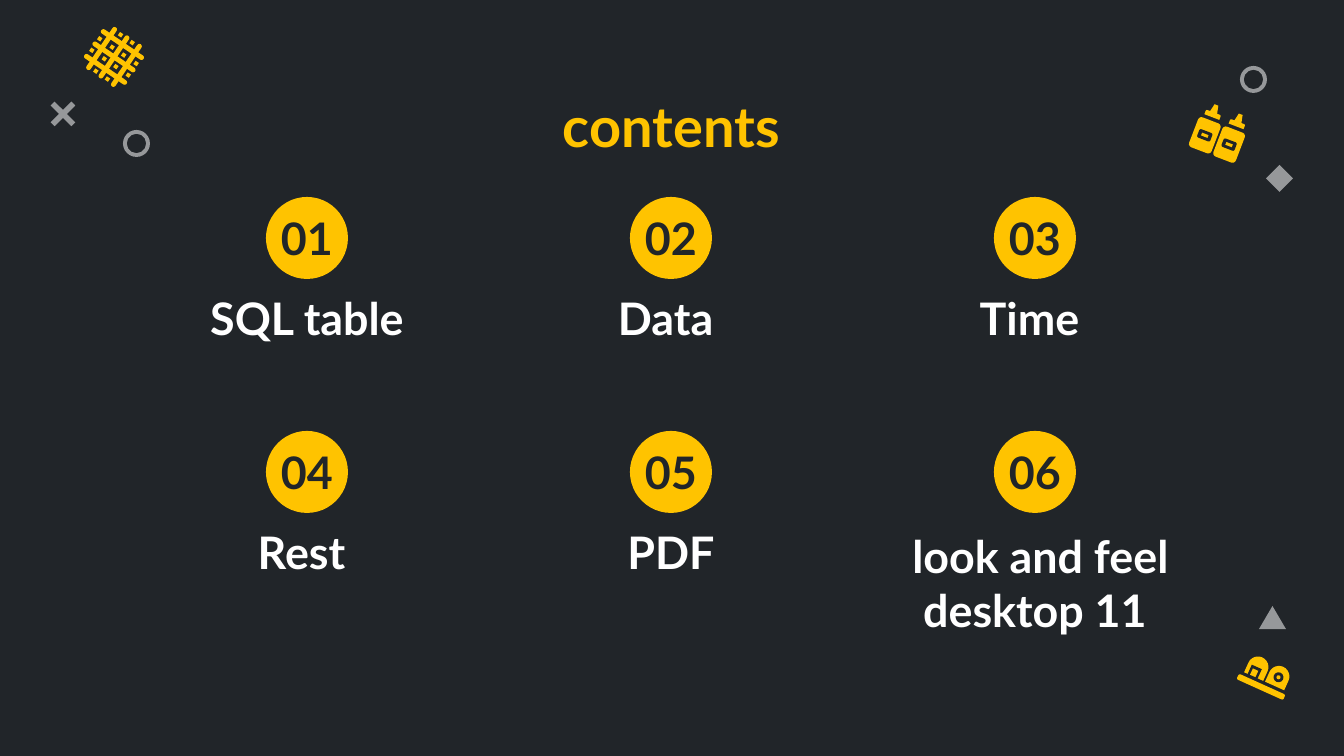
import math
from dataclasses import dataclass

import pptx
import pptx.dml.color
import pptx.enum.shapes
import pptx.enum.text
import pptx.oxml
import pptx.oxml.ns
import pptx.util

Kind = pptx.enum.shapes.MSO_SHAPE
Anchor = pptx.enum.text.MSO_ANCHOR
EMU_PER_PX = 9144000 / 1344


@dataclass(frozen=True)
class Theme:
    background: str = "212529"
    accent: str = "FFC300"
    white: str = "FFFFFF"
    ornament_alpha: int = 53
    font: str = "Lato"
    title_size: int = 30
    body_size: int = 24
    inset: int = 13


@dataclass(frozen=True)
class Topic:
    number: str
    label: str
    lines: int = 1


@dataclass(frozen=True)
class Ornament:
    kind: Kind
    left: int
    top: int
    width: int
    height: int
    adjustment: float | None = None


@dataclass(frozen=True)
class Piece:
    """One piece of an icon; x and y are its centre, seen from the icon's pivot."""
    kind: Kind
    x: int
    y: int
    width: int
    height: int
    color: str
    adjustment: float | None = None


@dataclass(frozen=True)
class Icon:
    x: int
    y: int
    angle: float
    pieces: list[Piece]


THEME = Theme()
YELLOW, DARK = THEME.accent, THEME.background

TOPICS = [
    Topic("01", "SQL table"), Topic("02", "Data "), Topic("03", "Time "),
    Topic("04", "Rest "), Topic("05", "PDF"),
    Topic("06", " look and feel desktop 11", lines=2),
]
COLUMNS = 3
FIRST_CENTER, COLUMN_PITCH = 307, 364
FIRST_TOP, ROW_PITCH = 197, 234
DISC, NUMBER_WIDTH, NUMBER_HEIGHT = 82, 109, 64
LABEL_OFFSET, LABEL_WIDTH, LABEL_HEIGHT, EXTRA_LINE = 96, 314, 65, 57

ORNAMENTS = [
    Ornament(Kind.DONUT, 1240, 66, 27, 27, 0.14),
    Ornament(Kind.DONUT, 123, 130, 27, 27, 0.14),
    Ornament(Kind.MATH_MULTIPLY, 43, 94, 40, 40, 0.14),
    Ornament(Kind.ISOSCELES_TRIANGLE, 1259, 606, 27, 23),
    Ornament(Kind.DIAMOND, 1266, 165, 27, 27),
]


def px(length: float) -> pptx.util.Emu:
    return pptx.util.Emu(round(length * EMU_PER_PX))


def rgb(color: str) -> pptx.dml.color.RGBColor:
    return pptx.dml.color.RGBColor.from_string(color)


def lattice_pieces() -> list[Piece]:
    """Three bars each way, with crumbs in the gaps except at the corners."""
    bars = []
    for offset in (-15, 0, 15):
        bars.append(Piece(Kind.ROUNDED_RECTANGLE, offset, 0, 5, 51, YELLOW, 0.5))
        bars.append(Piece(Kind.ROUNDED_RECTANGLE, 0, offset, 51, 5, YELLOW, 0.5))
    gaps = (-22, -7, 7, 22)
    crumbs = [Piece(Kind.RECTANGLE, x, y, 4, 4, YELLOW)
              for x in gaps for y in gaps if abs(x) + abs(y) < 44]
    return bars + crumbs


def bottle_pieces(x: int) -> list[Piece]:
    return [
        Piece(Kind.ROUNDED_RECTANGLE, x, 0, 24, 32, YELLOW, 0.15),
        Piece(Kind.ROUNDED_RECTANGLE, x, 0, 14, 9, DARK, 0.2),
        Piece(Kind.RECTANGLE, x, 0, 7, 3, YELLOW),
        Piece(Kind.ROUND_2_SAME_RECTANGLE, x, -22, 16, 5, YELLOW, 0.3),
        Piece(Kind.TRAPEZOID, x, -28, 8, 9, YELLOW, 0.25),
    ]


def sushi_pieces() -> list[Piece]:
    rolls = [Piece(Kind.ROUND_2_SAME_RECTANGLE, x, -17, 21, 21, YELLOW, 0.5)
             for x in (-11, 12)]
    return rolls + [
        Piece(Kind.RECTANGLE, -12, -11, 11, 11, DARK),
        Piece(Kind.RECTANGLE, -12, -10, 6, 7, YELLOW),
        Piece(Kind.OVAL, 12, -16, 10, 10, DARK),
        Piece(Kind.OVAL, 12, -16, 4, 4, YELLOW),
        Piece(Kind.ROUNDED_RECTANGLE, 0, 0, 51, 6, YELLOW, 0.3),
    ]


ICONS = [
    Icon(114, 57, 34.2, lattice_pieces()),
    Icon(1217, 140, 21, bottle_pieces(-13) + bottle_pieces(13)),
    Icon(1261, 687, 24.3, sushi_pieces()),
]


def add_filled(slide, kind: Kind, left: float, top: float, width: int, height: int,
               color: str, adjustment: float | None = None):
    shape = slide.shapes.add_shape(kind, px(left), px(top), px(width), px(height))
    shape.shadow.inherit = False
    shape.fill.solid()
    shape.fill.fore_color.rgb = rgb(color)
    shape.line.fill.background()
    if adjustment is not None:
        shape.adjustments[0] = adjustment
    return shape


def draw_ornament(slide, ornament: Ornament) -> None:
    shape = add_filled(slide, ornament.kind, ornament.left, ornament.top,
                       ornament.width, ornament.height, THEME.white, ornament.adjustment)
    color = shape.element.find(".//" + pptx.oxml.ns.qn("a:srgbClr"))
    alpha = pptx.oxml.parse_xml(
        f'<a:alpha {pptx.oxml.ns.nsdecls("a")} val="{THEME.ornament_alpha * 1000}"/>')
    color.append(alpha)


def draw_icon(slide, icon: Icon) -> None:
    """Turn every piece, and its place, about the icon's pivot."""
    cos, sin = math.cos(math.radians(icon.angle)), math.sin(math.radians(icon.angle))
    for piece in icon.pieces:
        x = icon.x + piece.x * cos - piece.y * sin
        y = icon.y + piece.x * sin + piece.y * cos
        shape = add_filled(slide, piece.kind, x - piece.width / 2, y - piece.height / 2,
                           piece.width, piece.height, piece.color, piece.adjustment)
        shape.rotation = icon.angle


def set_text(box, text: str, size: int, color: str, anchor: Anchor) -> None:
    frame = box.text_frame
    frame.text = text
    frame.word_wrap = True
    frame.auto_size = pptx.enum.text.MSO_AUTO_SIZE.NONE
    frame.vertical_anchor = anchor
    frame.margin_left = frame.margin_right = px(THEME.inset)
    frame.margin_top = frame.margin_bottom = px(THEME.inset)
    paragraph = frame.paragraphs[0]
    paragraph.alignment = pptx.enum.text.PP_ALIGN.CENTER
    font = paragraph.runs[0].font
    font.name, font.size, font.bold = THEME.font, pptx.util.Pt(size), True
    font.color.rgb = rgb(color)


def draw_title(slide, text: str) -> None:
    title = slide.shapes.title
    title.left, title.top, title.width, title.height = map(px, (286, 79, 771, 70))
    set_text(title, text, THEME.title_size, THEME.accent, Anchor.TOP)


def draw_topic(slide, topic: Topic, center: int, top: int) -> None:
    add_filled(slide, Kind.OVAL, center - DISC / 2, top, DISC, DISC, THEME.accent)
    number = slide.shapes.add_textbox(
        px(center - NUMBER_WIDTH / 2), px(top + (DISC - NUMBER_HEIGHT) / 2),
        px(NUMBER_WIDTH), px(NUMBER_HEIGHT))
    set_text(number, topic.number, THEME.body_size, THEME.background, Anchor.MIDDLE)
    label = slide.shapes.add_textbox(
        px(center - LABEL_WIDTH / 2), px(top + LABEL_OFFSET),
        px(LABEL_WIDTH), px(LABEL_HEIGHT + EXTRA_LINE * (topic.lines - 1)))
    set_text(label, topic.label, THEME.body_size, THEME.white, Anchor.BOTTOM)


def main() -> None:
    deck = pptx.Presentation()
    deck.slide_width, deck.slide_height = px(1344), px(756)
    slide = deck.slides.add_slide(deck.slide_layouts[5])
    slide.background.fill.solid()
    slide.background.fill.fore_color.rgb = rgb(THEME.background)
    for ornament in ORNAMENTS:
        draw_ornament(slide, ornament)
    for icon in ICONS:
        draw_icon(slide, icon)
    draw_title(slide, "contents")
    for index, topic in enumerate(TOPICS):
        row, column = divmod(index, COLUMNS)
        draw_topic(slide, topic, FIRST_CENTER + column * COLUMN_PITCH,
                   FIRST_TOP + row * ROW_PITCH)
    deck.save("out.pptx")


if __name__ == "__main__":
    main()
